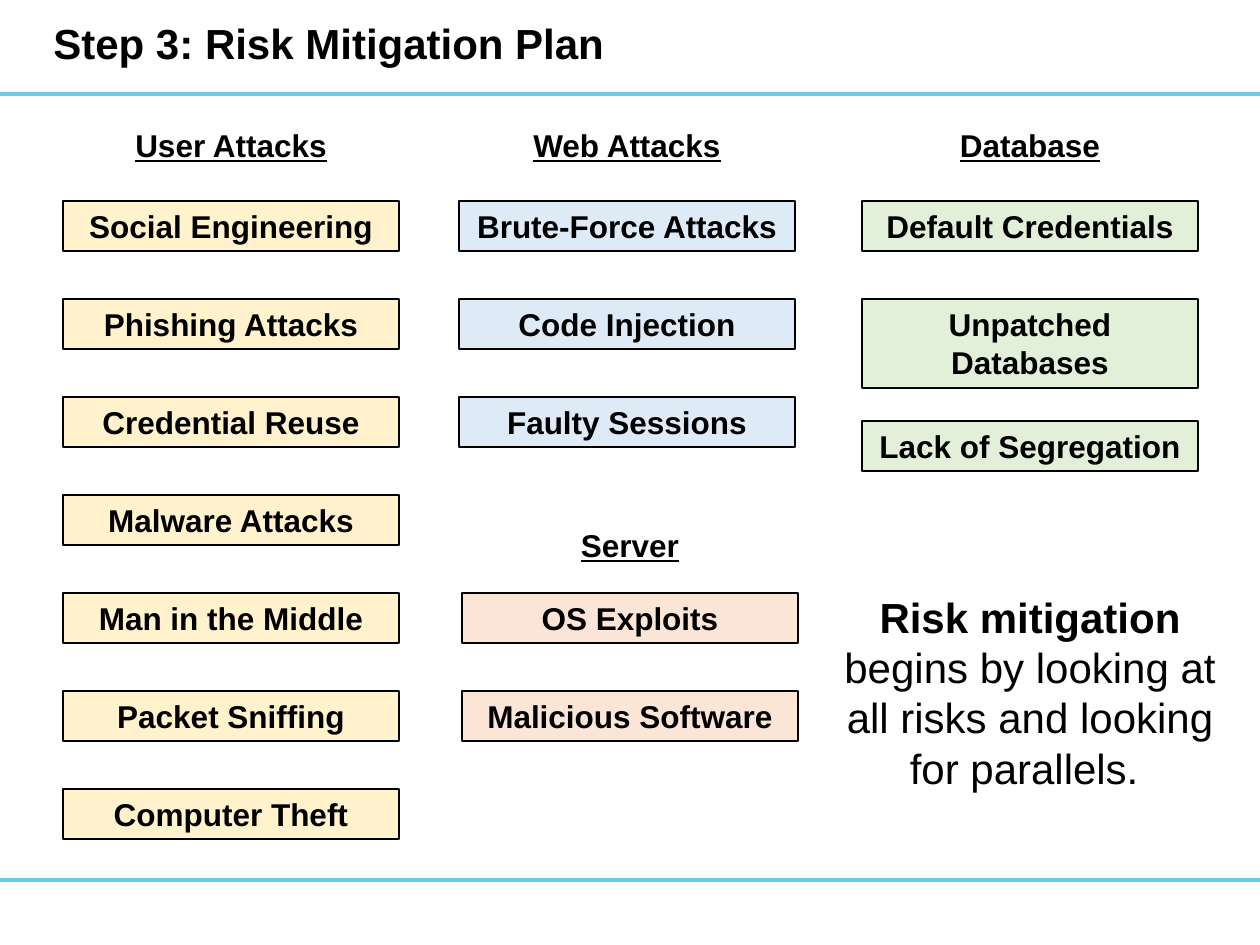
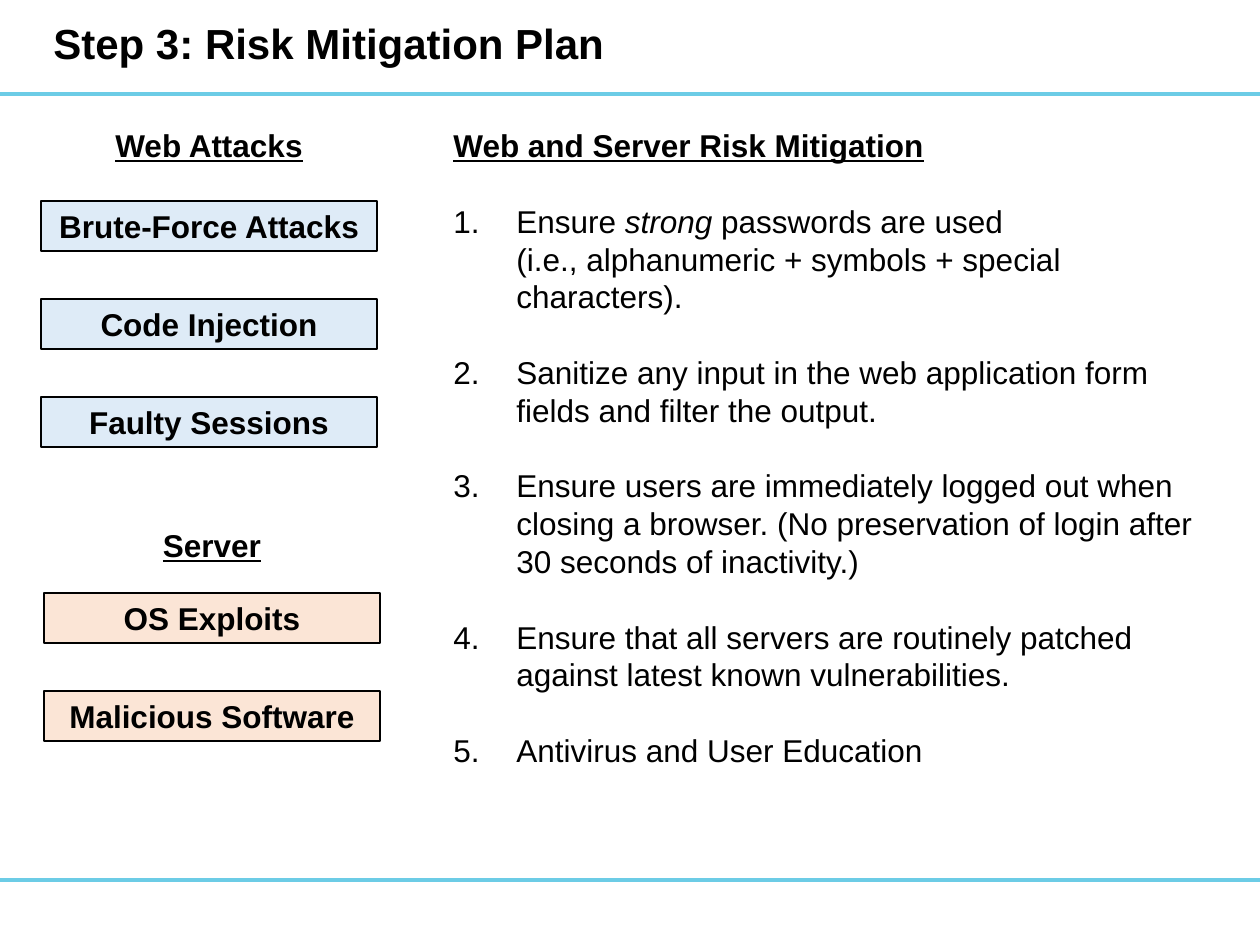
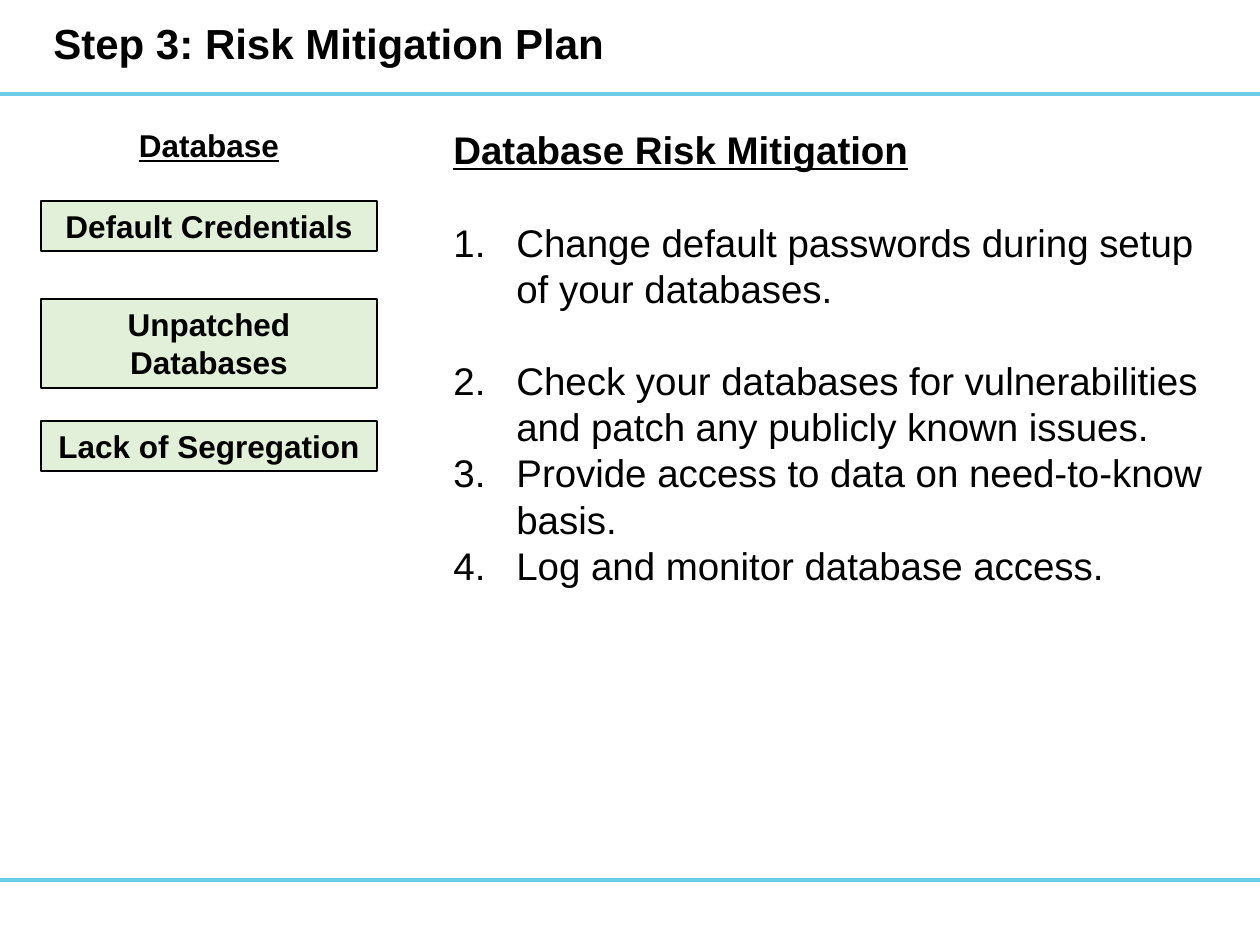
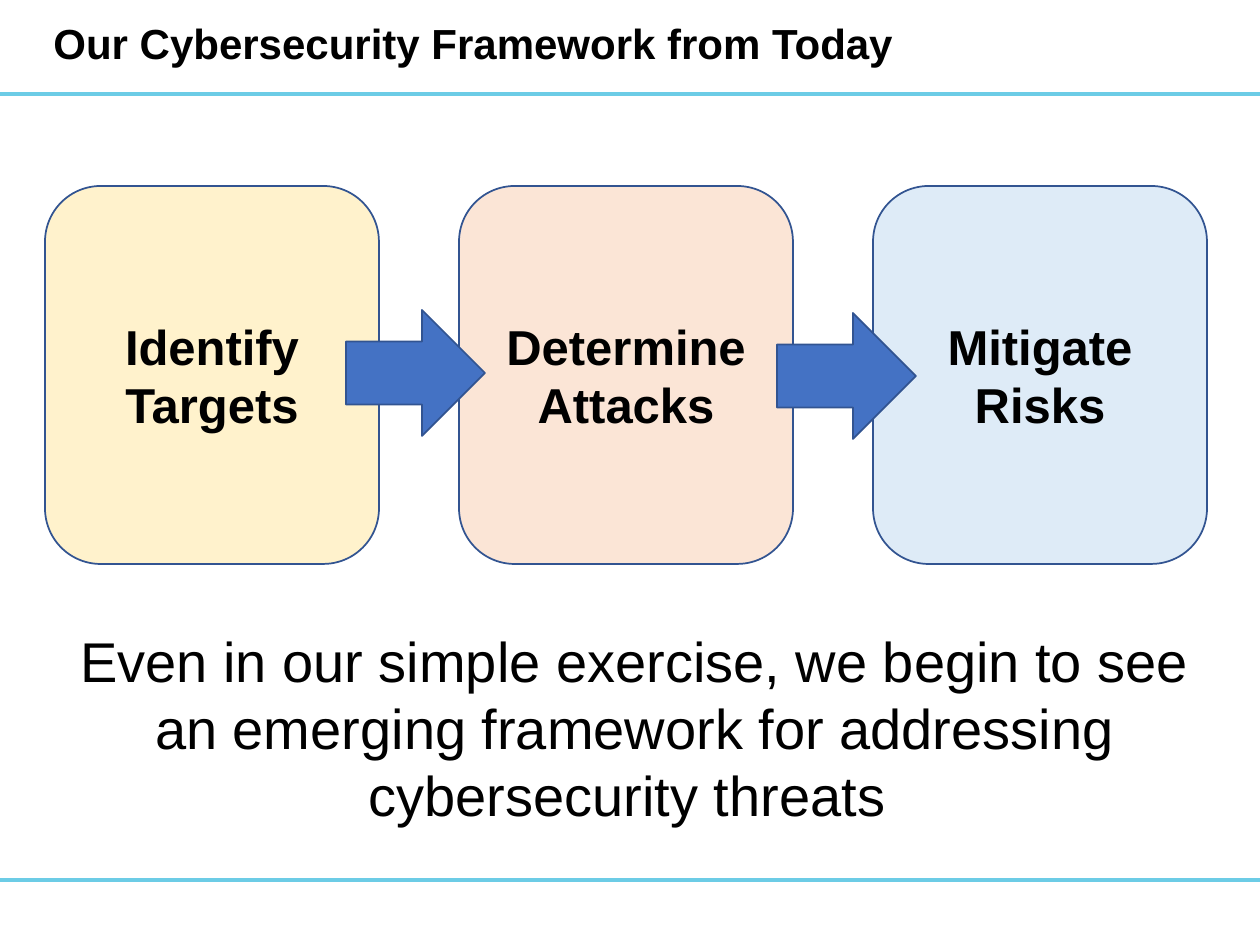
from dataclasses import dataclass

from lxml.etree import SubElement
from pptx import Presentation
from pptx.dml.color import RGBColor
from pptx.enum.shapes import MSO_SHAPE
from pptx.enum.text import MSO_ANCHOR, MSO_AUTO_SIZE, PP_ALIGN
from pptx.oxml.ns import qn
from pptx.util import Pt

EMU_PER_PX = 914400 / 126
PAGE_WIDTH, PAGE_HEIGHT = 1260, 945


@dataclass(frozen=True)
class Theme:
    font: str = "Arial"
    ink: str = "000000"
    band: str = "6CCCE6"
    yellow: str = "FFF2CC"
    blue: str = "DEEBF7"
    orange: str = "FBE5D6"
    green: str = "E2F0D9"
    arrow: str = "4472C4"
    outline: str = "325491"
    title_size: int = 24
    label_size: int = 18
    large_list_size: int = 22
    card_size: int = 28
    caption_size: int = 32
    line_height: float = 1.2


@dataclass(frozen=True)
class Box:
    left: int
    top: int
    width: int
    height: int

    def emu(self):
        return [px(value) for value in (self.left, self.top, self.width, self.height)]


@dataclass(frozen=True)
class RiskGroup:
    heading: str
    fill: str
    labels: tuple
    two_line: str = ""
    heading_drop: int = 81


THEME = Theme()
STEP_TITLE = "Step 3: Risk Mitigation Plan"
CHIP_WIDTH, CHIP_HEIGHT, CHIP_PITCH = 336, 50, 98
TALL_CHIP_HEIGHT, TALL_CHIP_PITCH = 89, 122
COLUMN_TOP, SERVER_TOP = 120, 520
LIST_INDENT = 63

USER = RiskGroup("User Attacks", THEME.yellow, (
    "Social Engineering", "Phishing Attacks", "Credential Reuse", "Malware Attacks",
    "Man in the Middle", "Packet Sniffing", "Computer Theft"))
WEB = RiskGroup("Web Attacks", THEME.blue, (
    "Brute-Force Attacks", "Code Injection", "Faulty Sessions"))
SERVER = RiskGroup("Server", THEME.orange, ("OS Exploits", "Malicious Software"),
                   heading_drop=73)
DATABASE = RiskGroup("Database", THEME.green, (
    "Default Credentials", "Unpatched Databases", "Lack of Segregation"),
    two_line="Unpatched Databases")

# Each item holds its spans (text, style) and whether a line of space precedes it.
WEB_STEPS = (
    ([("Ensure ", ""), ("strong", "italic"),
      (" passwords are used \n(i.e., alphanumeric + symbols + special characters).", "")], True),
    ([("Sanitize any input in the web application form fields and filter the output.", "")], True),
    ([("Ensure users are immediately logged out when closing a browser. "
       "(No preservation of login after 30 seconds of inactivity.)", "")], True),
    ([("Ensure that all servers are routinely patched against latest known "
       "vulnerabilities.", "")], True),
    ([("Antivirus and User Education", "")], True),
)
DATABASE_STEPS = (
    ([("Change default passwords during setup of your databases.", "")], True),
    ([("Check your databases for vulnerabilities and patch any publicly known issues.", "")], True),
    ([("Provide access to data on need-to-know basis.", "")], False),
    ([("Log and monitor database access.", "")], False),
)


def px(value):
    return round(value * EMU_PER_PX)


def style_paragraph(para, size, bold=False, underline=False, align=None):
    if align is not None:
        para.alignment = align
    font = para.font
    font.name, font.size = THEME.font, Pt(size)
    font.bold, font.underline = bold, underline
    font.color.rgb = RGBColor.from_string(THEME.ink)


def add_spans(para, spans):
    """Add (text, style) spans; a newline in the text becomes a line break."""
    for text, style in spans:
        for index, line in enumerate(text.split("\n")):
            if index:
                para.add_line_break()
            span = para.add_run()
            span.text = line
            if style:
                setattr(span.font, style, True)


def add_text(page, box, spans, size, grow=True, **style):
    frame = page.shapes.add_textbox(*box.emu()).text_frame
    frame.word_wrap = True
    if grow:
        frame.auto_size = MSO_AUTO_SIZE.SHAPE_TO_FIT_TEXT
    para = frame.paragraphs[0]
    add_spans(para, spans)
    style_paragraph(para, size, **style)
    return frame


def add_block(page, preset, box, fill, line=None, line_width=1.0):
    block = page.shapes.add_shape(preset, *box.emu())
    block.shadow.inherit = False
    block.fill.solid()
    block.fill.fore_color.rgb = RGBColor.from_string(fill)
    if line:
        block.line.color.rgb = RGBColor.from_string(line)
        block.line.width = Pt(line_width)
    else:
        block.line.fill.background()
    return block


def label_block(block, text, size):
    frame = block.text_frame
    frame.word_wrap = True
    para = frame.paragraphs[0]
    add_spans(para, [(text, "")])
    style_paragraph(para, size, bold=True, align=PP_ALIGN.CENTER)
    return frame


def add_page(deck, title, title_width=753):
    """Add a blank page with the two bands and the title."""
    page = deck.slides.add_slide(deck.slide_layouts[6])
    for top in (878, 92):
        add_block(page, MSO_SHAPE.FLOWCHART_PROCESS, Box(-1, top, PAGE_WIDTH + 1, 4), THEME.band)
    frame = add_text(page, Box(41, 0, title_width, 91), [(title, "")], THEME.title_size,
                     grow=False, bold=True)
    frame.vertical_anchor = MSO_ANCHOR.MIDDLE
    frame.paragraphs[0].line_spacing = 0.9
    return page


def add_risk_group(page, left, top, group):
    """Place an underlined heading with its column of chips below."""
    add_text(page, Box(left, top, CHIP_WIDTH, CHIP_HEIGHT), [(group.heading, "")],
             THEME.label_size, bold=True, underline=True, align=PP_ALIGN.CENTER)
    chip_top = top + group.heading_drop
    for label in group.labels:
        tall = label == group.two_line
        height = TALL_CHIP_HEIGHT if tall else CHIP_HEIGHT
        chip = add_block(page, MSO_SHAPE.RECTANGLE, Box(left, chip_top, CHIP_WIDTH, height),
                         group.fill, THEME.ink, 0.75)
        frame = label_block(chip, label, THEME.label_size)
        frame.vertical_anchor = MSO_ANCHOR.TOP
        frame.auto_size = MSO_AUTO_SIZE.SHAPE_TO_FIT_TEXT
        chip_top += TALL_CHIP_PITCH if tall else CHIP_PITCH


def add_step_list(page, box, heading, steps, size):
    frame = add_text(page, box, [(heading, "")], size, bold=True, underline=True)
    for spans, spaced in steps:
        para = frame.add_paragraph()
        properties = para._p.get_or_add_pPr()
        properties.set("marL", str(px(LIST_INDENT)))
        properties.set("indent", str(-px(LIST_INDENT)))
        SubElement(properties, qn("a:buAutoNum"), type="arabicPeriod")
        if spaced:
            para.space_before = Pt(size * THEME.line_height)
        add_spans(para, spans)
        style_paragraph(para, size)


def build_overview(deck):
    page = add_page(deck, STEP_TITLE)
    add_risk_group(page, 63, COLUMN_TOP, USER)
    add_risk_group(page, 459, COLUMN_TOP, WEB)
    add_risk_group(page, 462, SERVER_TOP, SERVER)
    add_risk_group(page, 862, COLUMN_TOP, DATABASE)
    add_text(page, Box(825, 585, 410, 217),
             [("Risk mitigation ", "bold"),
              ("begins by looking at all risks and looking for parallels. ", "")],
             THEME.title_size, align=PP_ALIGN.CENTER)


def build_web_plan(deck):
    page = add_page(deck, STEP_TITLE)
    add_risk_group(page, 41, COLUMN_TOP, WEB)
    add_risk_group(page, 44, SERVER_TOP, SERVER)
    add_step_list(page, Box(441, COLUMN_TOP, 788, 662), "Web and Server Risk Mitigation",
                  WEB_STEPS, THEME.label_size)


def build_database_plan(deck):
    page = add_page(deck, STEP_TITLE)
    add_step_list(page, Box(441, COLUMN_TOP, 788, 479), "Database Risk Mitigation",
                  DATABASE_STEPS, THEME.large_list_size)
    add_risk_group(page, 41, COLUMN_TOP, DATABASE)


def add_framework(page, box):
    """Spread three cards over the box and join them with block arrows."""
    cards = (("Identify Targets", THEME.yellow), ("Determine Attacks", THEME.orange),
             ("Mitigate Risks", THEME.blue))
    card_width = 334
    pitch = (box.width - card_width) // (len(cards) - 1)
    for index, (label, fill) in enumerate(cards):
        place = Box(box.left + index * pitch, box.top, card_width, box.height)
        card = add_block(page, MSO_SHAPE.ROUNDED_RECTANGLE, place, fill, THEME.outline)
        label_block(card, label, THEME.card_size).vertical_anchor = MSO_ANCHOR.MIDDLE
    for shift, drop in ((301, 124), (732, 127)):
        place = Box(box.left + shift, box.top + drop, 139, 126)
        add_block(page, MSO_SHAPE.RIGHT_ARROW, place, THEME.arrow, THEME.outline)


def build_framework(deck):
    page = add_page(deck, "Our Cybersecurity Framework from Today", 1179)
    add_text(page, Box(34, 620, 1202, 217),
             [("Even in our simple exercise, we begin to see an emerging framework "
               "for addressing cybersecurity threats ", "")],
             THEME.caption_size, align=PP_ALIGN.CENTER)
    add_framework(page, Box(45, 186, 1162, 378))


def main():
    deck = Presentation()
    deck.slide_width, deck.slide_height = px(PAGE_WIDTH), px(PAGE_HEIGHT)
    for build in (build_overview, build_web_plan, build_database_plan, build_framework):
        build(deck)
    deck.save("out.pptx")


if __name__ == "__main__":
    main()
